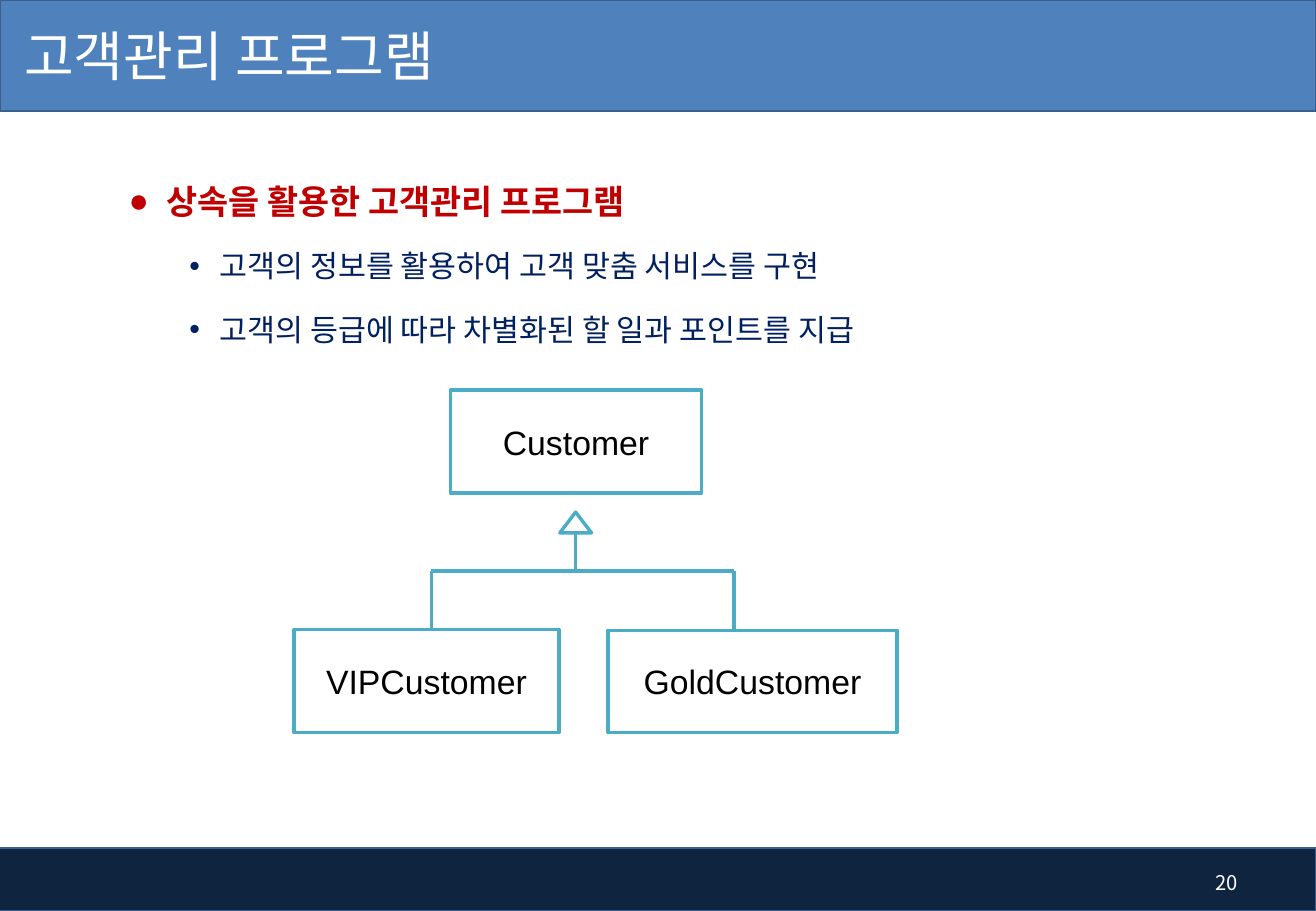
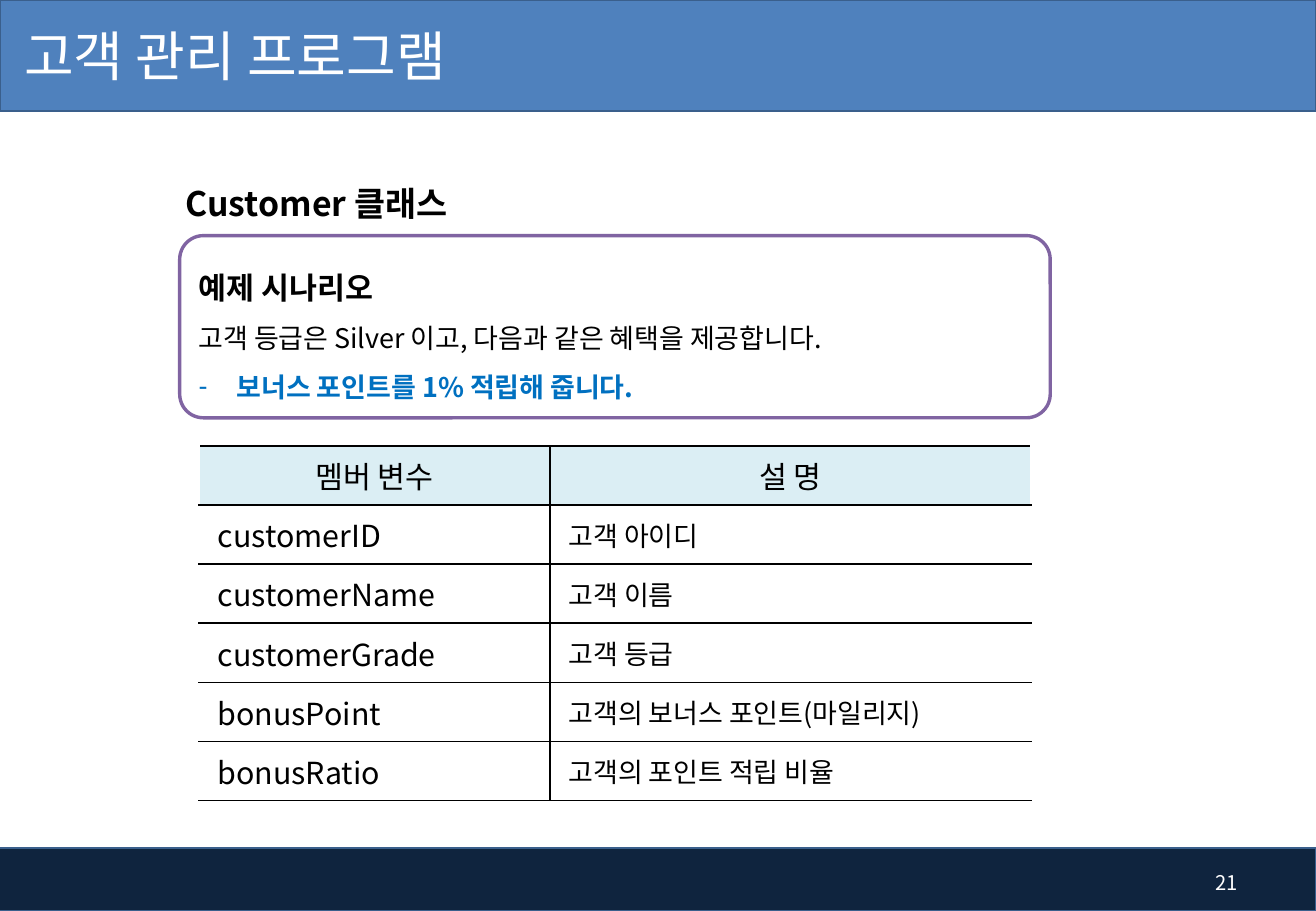
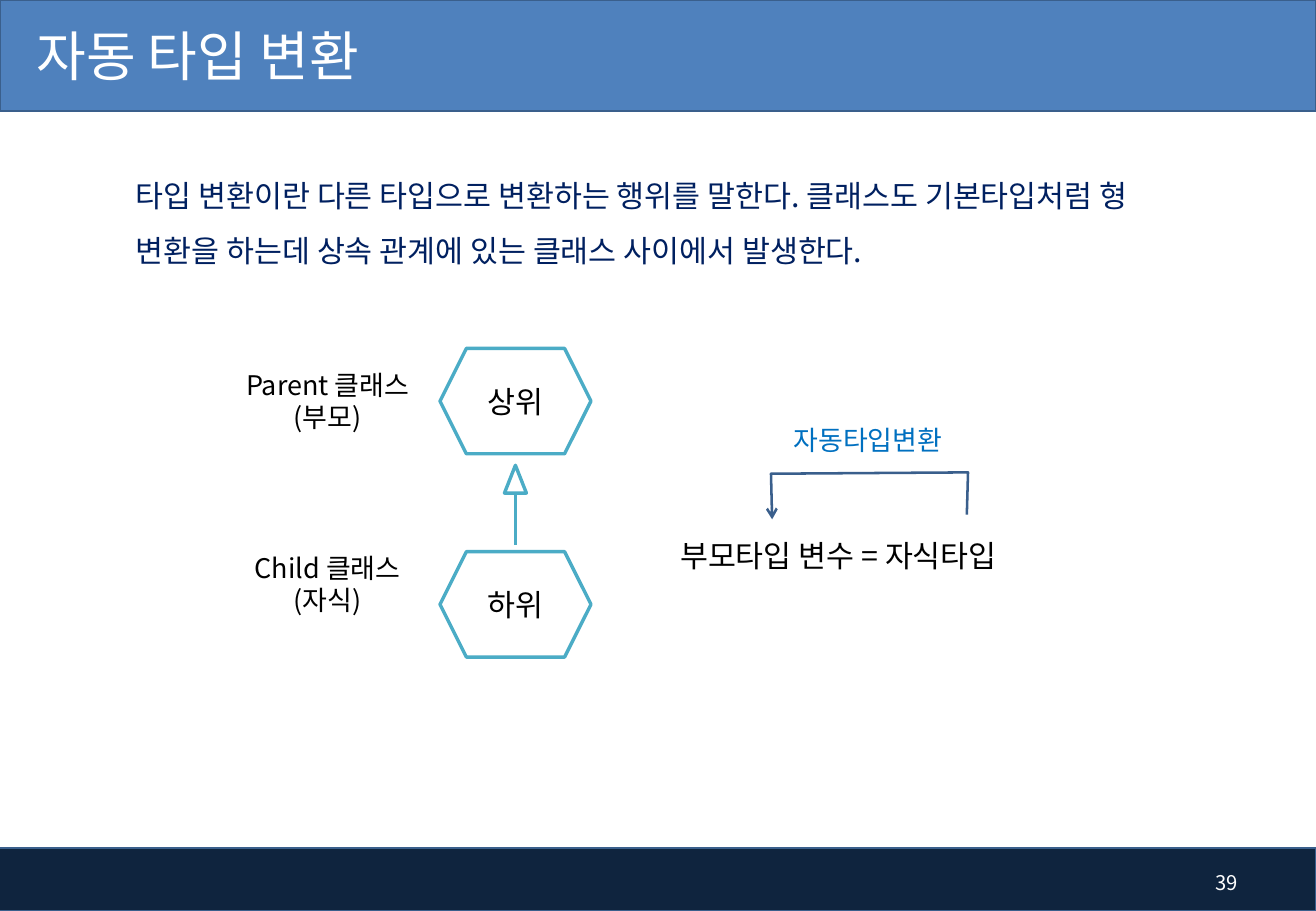
from pptx import Presentation
from pptx.dml.color import RGBColor
from pptx.enum.shapes import MSO_CONNECTOR, MSO_SHAPE
from pptx.enum.text import MSO_ANCHOR, MSO_AUTO_SIZE, PP_ALIGN
from pptx.oxml.ns import qn
from pptx.util import Pt
from lxml import etree

RECT = MSO_SHAPE.RECTANGLE
ROUND = MSO_SHAPE.ROUNDED_RECTANGLE
HEX = MSO_SHAPE.HEXAGON
PEAK = MSO_SHAPE.ISOSCELES_TRIANGLE
STRAIGHT = MSO_CONNECTOR.STRAIGHT
TOP, MIDDLE = MSO_ANCHOR.TOP, MSO_ANCHOR.MIDDLE
LEFT, CENTER, RIGHT = PP_ALIGN.LEFT, PP_ALIGN.CENTER, PP_ALIGN.RIGHT
FIXED = MSO_AUTO_SIZE.NONE

KR, LATIN = "Noto Sans CJK KR", "Arial"
WHITE, BLACK = "FFFFFF", "000000"
BAND, FOOT, EDGE = "4F81BD", "0F243E", "3A5F8C"
TEAL, PURPLE, PALE = "4BACC6", "8064A2", "DBEEF4"
RED, NAVY, BLUE = "C00000", "002060", "0070C0"
WIDE, HIGH = 780, 540


def color(code):
    return RGBColor.from_string(code)


def child(node, tag, **attrs):
    return etree.SubElement(node, qn(tag), attrs)


class Deck:
    def __init__(self):
        self.prs = Presentation()
        self.prs.slide_width, self.prs.slide_height = Pt(WIDE), Pt(HIGH)
        self.slide = None

    def page(self, title, number, inset=14.4, layout=5):
        self.slide = self.prs.slides.add_slide(self.prs.slide_layouts[layout])
        head = self.slide.shapes.title
        for box, fill in (((-3, 502.6, 783, 37.4), FOOT), ((0, 0, WIDE, 66), BAND)):
            band = self.shape(RECT, box, fill=fill, edge=EDGE, width=1)
            head.element.addprevious(band.element)
        self.place(head, (0, -1.4, 488, 67.6))
        self.fill(head.text_frame, [title], MIDDLE, size=32, ink=WHITE)
        head.text_frame.margin_left = Pt(inset)
        self.text((697, 508.4, 44, 28.8), [str(number)], MIDDLE,
                  size=12, ink=WHITE, align=RIGHT)

    def place(self, shape, box):
        shape.left, shape.top, shape.width, shape.height = map(Pt, box)

    def style(self, para, text, size=18, ink=BLACK, bold=False, font=KR,
              align=LEFT, gap=1, before=0, bullet=None, hang=0, left=0):
        para.text = text
        props = para._p.get_or_add_pPr()
        if bullet:
            props.set("marL", str(Pt(left + hang)))
            props.set("indent", str(-Pt(hang)))
            child(child(props, "a:buClr"), "a:srgbClr", val=ink)
            child(props, "a:buFont", typeface=LATIN)
            child(props, "a:buChar", char=bullet)
        para.alignment = align
        para.line_spacing = gap
        para.space_before = Pt(before)
        face = para.font
        face.size, face.bold, face.name = Pt(size), bold, font
        face.color.rgb = color(ink)
        child(props.find(qn("a:defRPr")), "a:ea", typeface=font)

    def fill(self, frame, lines, anchor=TOP, **base):
        frame.word_wrap = True
        frame.auto_size = FIXED
        frame.vertical_anchor = anchor
        for i, line in enumerate(lines):
            text, extra = (line, {}) if isinstance(line, str) else line
            para = frame.add_paragraph() if i else frame.paragraphs[0]
            self.style(para, text, **{**base, **extra})

    def text(self, box, lines, anchor=TOP, **base):
        area = self.slide.shapes.add_textbox(*map(Pt, box))
        self.fill(area.text_frame, lines, anchor, **base)

    def body(self, box, lines, **base):
        area = self.slide.placeholders[1]
        self.place(area, box)
        self.fill(area.text_frame, lines, **base)

    def shape(self, kind, box, lines=(), fill=WHITE, edge=TEAL, width=2, **base):
        item = self.slide.shapes.add_shape(kind, *map(Pt, box))
        item.shadow.inherit = False
        item.fill.solid()
        item.fill.fore_color.rgb = color(fill)
        if edge:
            item.line.color.rgb = color(edge)
            item.line.width = Pt(width)
        else:
            item.line.fill.background()
        if lines:
            self.fill(item.text_frame, lines, MIDDLE, **base)
        return item

    def link(self, x1, y1, x2, y2):
        line = self.slide.shapes.add_connector(STRAIGHT, *map(Pt, (x1, y1, x2, y2)))
        line.line.color.rgb = color(TEAL)
        line.line.width = Pt(2)
        child(line.element.spPr, "a:effectLst")

    def parent(self, x, top, wide, high, end):
        self.shape(PEAK, (x - wide / 2, top, wide, high))
        self.link(x, top + high, x, end)

    def arrow(self, points):
        first, *rest = [tuple(map(Pt, point)) for point in points]
        pen = self.slide.shapes.build_freeform(*first, scale=1.0)
        pen.add_line_segments(rest, close=False)
        item = pen.convert_to_shape()
        item.shadow.inherit = False
        item.fill.background()
        item.line.color.rgb = color(EDGE)
        item.line.width = Pt(1.5)
        child(item.element.spPr.find(qn("a:ln")), "a:tailEnd", type="arrow")

    def border(self, cell, sides):
        props = cell._tc.get_or_add_tcPr()
        for side in sides:
            line = child(props, "a:ln" + side, w=str(Pt(1)))
            child(child(line, "a:solidFill"), "a:srgbClr", val=BLACK)

    def table(self, box, widths, rows):
        grid = self.slide.shapes.add_table(len(rows), len(widths), *map(Pt, box)).table
        grid.first_row = grid.horz_banding = False
        for col, width in zip(grid.columns, widths):
            col.width = Pt(width)
        for r, row in enumerate(rows):
            grid.rows[r].height = Pt(box[3] / len(rows))
            for c, text in enumerate(row):
                cell = grid.cell(r, c)
                self.border(cell, "LTB" if c else "RTB")
                cell.vertical_anchor = MIDDLE
                if r:
                    cell.fill.background()
                    cell.margin_left = Pt(11)
                else:
                    cell.fill.solid()
                    cell.fill.fore_color.rgb = color(PALE)
                self.style(cell.text_frame.paragraphs[0], text,
                           size=16 if r and c else 18,
                           align=LEFT if r else CENTER)


def family(deck):
    deck.page("고객관리 프로그램", 20, layout=1)
    point = dict(size=18, ink=NAVY, before=5, bullet="•", left=36, hang=18)
    deck.body((69, 91.4, 542, 110), [
        ("상속을 활용한 고객관리 프로그램",
         dict(size=20, ink=RED, bold=True, bullet="●", hang=22.5)),
        ("고객의 정보를 활용하여 고객 맞춤 서비스를 구현", point),
        ("고객의 등급에 따라 차별화된 할 일과 포인트를 지급", point),
    ], gap=1.5)
    for name, box in (("Customer", (267, 231.3, 149, 61)),
                      ("VIPCustomer", (174.3, 373.2, 157, 61)),
                      ("GoldCustomer", (360.4, 373.6, 171.4, 60.6))):
        deck.shape(RECT, box, [name], size=20, font=LATIN, align=CENTER)
    fork, left, right = 338.4, 255.6, 435
    deck.parent(341.2, 303.6, 18.8, 12.3, fork)
    deck.link(left, fork, right, fork)
    for x in (left, right):
        deck.link(x, fork, x, 373)


def members(deck):
    deck.page("고객 관리 프로그램", 21)
    deck.shape(ROUND, (101, 94.3, 300, 39.6), ["Customer 클래스"], edge=None,
               size=20, bold=True, gap=1.5)
    card = deck.shape(ROUND, (106.5, 139.7, 516, 108), [
        ("예제 시나리오", dict(size=18, bold=True)),
        "고객 등급은 Silver 이고, 다음과 같은 혜택을 제공합니다.",
        ("보너스 포인트를 1% 적립해 줍니다.",
         dict(ink=BLUE, bold=True, bullet="-", hang=22.5)),
    ], edge=PURPLE, size=16, gap=1.5)
    card.adjustments[0] = 0.13
    deck.table((118, 264.3, 493.2, 210.3), (208, 285.2), [
        ("멤버 변수", "설 명"),
        ("customerID", "고객 아이디"),
        ("customerName", "고객 이름"),
        ("customerGrade", "고객 등급"),
        ("bonusPoint", "고객의 보너스 포인트(마일리지)"),
        ("bonusRatio", "고객의 포인트 적립 비율"),
    ])


def casting(deck):
    deck.page("자동 타입 변환", 39, inset=21.6)
    deck.text((73.4, 90.7, 623.6, 72.7), [
        "타입 변환이란 다른 타입으로 변환하는 행위를 말한다. 클래스도 기본타입처럼 형 "
        "변환을 하는데 상속 관계에 있는 클래스 사이에서 발생한다."
    ], ink=NAVY, gap=1.5)
    for top, rank, note, lines in (
            (206.5, "상위", 214.6, ["Parent 클래스", "(부모)"]),
            (327, "하위", 323.3, ["Child 클래스", "(자식)"])):
        deck.shape(HEX, (260.8, top, 89.5, 62.5), [rank], font=LATIN, align=CENTER)
        deck.text((129, note, 130.3, 46), lines, size=16, align=CENTER)
    deck.parent(305.5, 275.8, 13, 16.5, 323)
    deck.text((396, 314.6, 238.3, 29), ["부모타입 변수 = 자식타입"])
    deck.arrow([(573.1, 305), (573.8, 280), (457, 280.8), (457.7, 307.8)])
    deck.text((455, 247.7, 118.8, 26.6), ["자동타입변환"],
              size=16, ink=BLUE, align=CENTER)


def main():
    deck = Deck()
    for build in (family, members, casting):
        build(deck)
    deck.prs.save("out.pptx")


if __name__ == "__main__":
    main()
